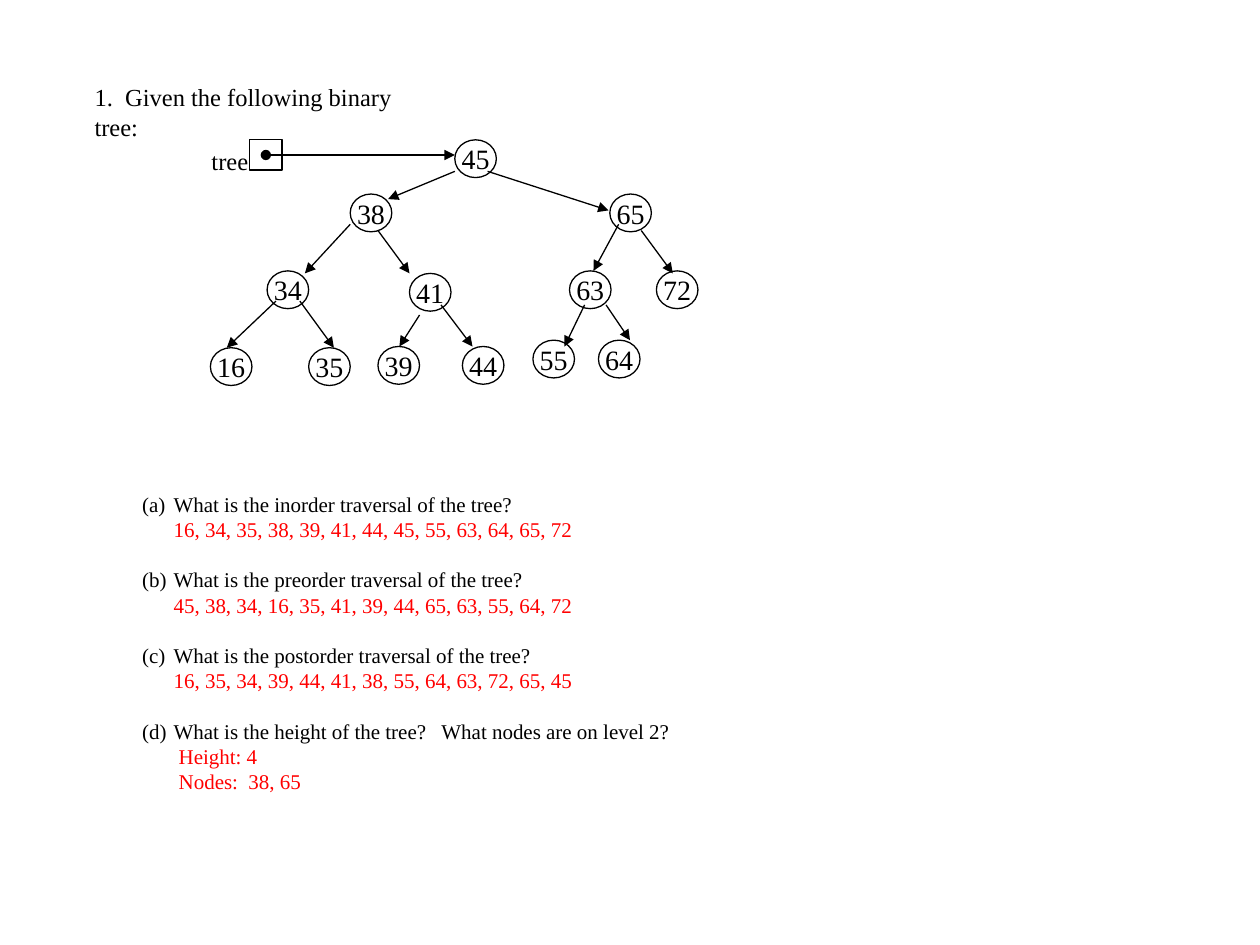
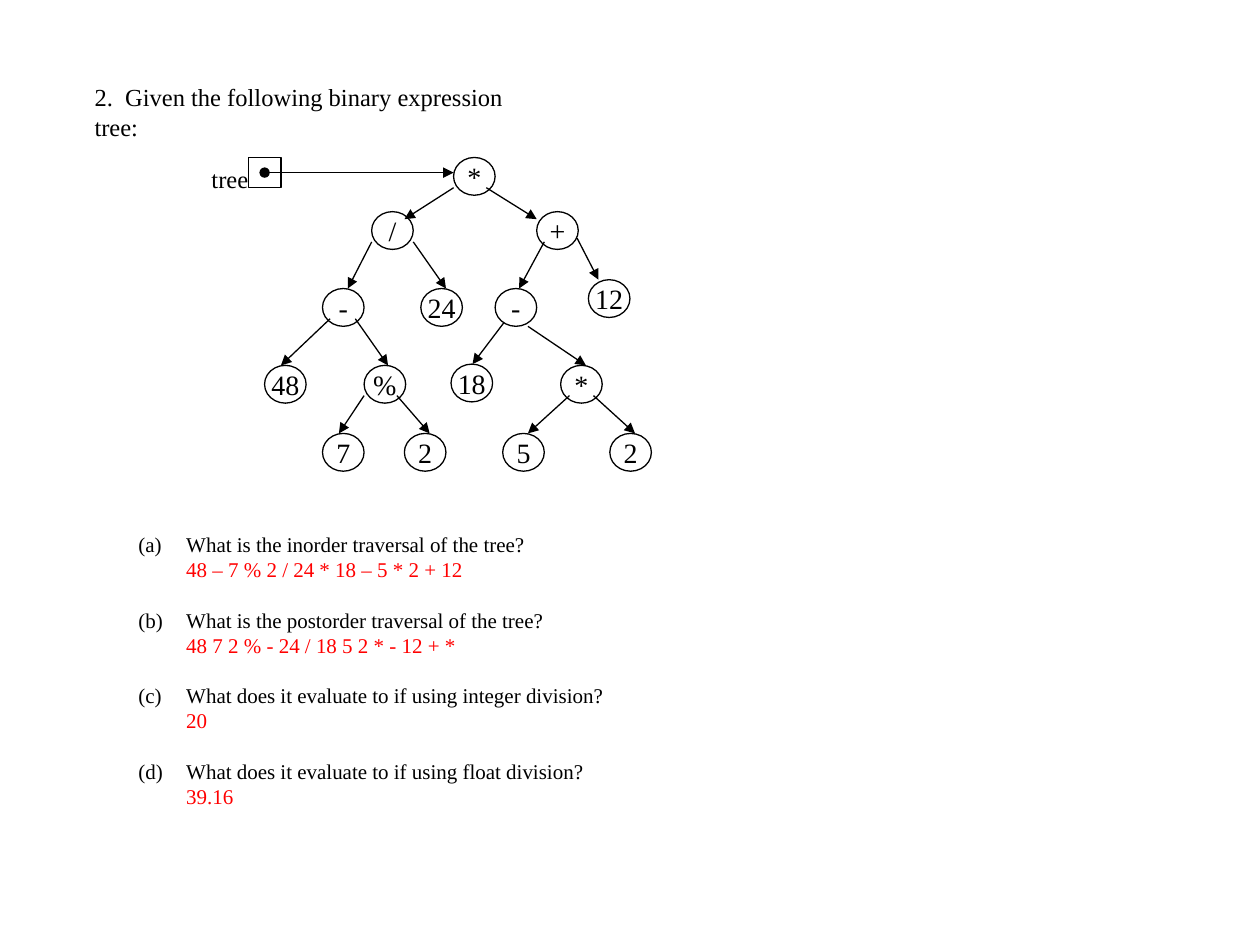
from pptx import Presentation
from pptx.dml.color import RGBColor
from pptx.enum.shapes import MSO_CONNECTOR as Connector, MSO_SHAPE as Shape
from pptx.enum.text import MSO_ANCHOR as Anchor, MSO_AUTO_SIZE as AutoSize, PP_ALIGN as Align
from pptx.oxml.ns import qn
from pptx.util import Inches, Pt
from lxml import etree

BLACK, RED, WHITE = "000000", "FF0000", "FFFFFF"
FONT = "Times New Roman"
NODE_WIDTH, NODE_HEIGHT = 0.33, 0.3
BODY_PITCH = 14.4


def color(value):
    return RGBColor.from_string(value)


class Worksheet:
    """Holds the shared style and the slide being drawn."""

    def __init__(self, presentation):
        self.presentation = presentation
        self.slide = None

    def add_slide(self, title, title_width):
        self.slide = self.presentation.slides.add_slide(self.presentation.slide_layouts[5])
        background = self.slide.background.fill
        background.solid()
        background.fore_color.rgb = color(WHITE)
        shape = self.slide.shapes.title
        shape.left, shape.top = Inches(0.65), Inches(0.6)
        shape.width, shape.height = Inches(title_width), Inches(0.58)
        frame = shape.text_frame
        frame.auto_size = AutoSize.NONE
        frame.word_wrap = True
        frame.vertical_anchor = Anchor.TOP
        paragraph = frame.paragraphs[0]
        paragraph.alignment = Align.LEFT
        paragraph.line_spacing = Pt(17)
        self.add_run(paragraph, title, 14)

    def add_run(self, paragraph, text, size, text_color=BLACK):
        run = paragraph.add_run()
        run.text = text
        run.font.name = FONT
        run.font.size = Pt(size)
        run.font.color.rgb = color(text_color)

    def add_outline(self, kind, left, top, width, height):
        shape = self.slide.shapes.add_shape(
            kind, Inches(left), Inches(top), Inches(width), Inches(height))
        shape.shadow.inherit = False
        shape.fill.background()
        shape.line.color.rgb = color(BLACK)
        shape.line.width = Pt(0.75)
        return shape

    def add_node(self, label, left, top):
        frame = self.add_outline(Shape.OVAL, left, top, NODE_WIDTH, NODE_HEIGHT).text_frame
        frame.margin_left = frame.margin_right = frame.margin_top = frame.margin_bottom = 0
        frame.word_wrap = False
        frame.vertical_anchor = Anchor.MIDDLE
        paragraph = frame.paragraphs[0]
        paragraph.alignment = Align.CENTER
        self.add_run(paragraph, label, 16)

    def add_arrow(self, start, end, head=None):
        x1, y1, x2, y2 = (Inches(value) for value in (*start, *end))
        arrow = self.slide.shapes.add_connector(Connector.STRAIGHT, x1, y1, x2, y2)
        arrow.line.color.rgb = color(BLACK)
        arrow.line.width = Pt(0.75)
        properties = arrow.line._get_or_add_ln()
        if head:
            etree.SubElement(properties, qn("a:headEnd"), type=head)
        etree.SubElement(properties, qn("a:tailEnd"), type="triangle")
        etree.SubElement(arrow._element.spPr, qn("a:effectLst"))

    def add_text_box(self, left, top, width, height, wrap=True):
        frame = self.slide.shapes.add_textbox(
            Inches(left), Inches(top), Inches(width), Inches(height)).text_frame
        frame.word_wrap = wrap
        return frame

    def add_tree(self, root, children):
        """Each child is label, left, top, and the two ends of the arrow to it."""
        label, left, top = root
        self.add_node(label, left, top)
        for label, child_left, child_top, start, end in children:
            self.add_node(label, child_left, child_top)
            self.add_arrow(start, end)
        # Pointer variable with its arrow to the root
        self.add_outline(Shape.RECTANGLE, left - 1.63, top, 0.26, 0.24)
        frame = self.add_text_box(1.58, top, 0.49, 0.33, wrap=False)
        self.add_run(frame.paragraphs[0], "tree", 14)
        self.add_arrow((left - 1.5, top + 0.12), (left, top + 0.12), head="oval")

    def add_questions(self, box, indent, questions):
        """Each question is its text, followed by (answer, extra indent) pairs."""
        frame = self.add_text_box(*box)
        paragraph = frame.paragraphs[0]
        for number, (question, *answers) in enumerate(questions, 1):
            if number > 1:
                paragraph = frame.add_paragraph()
                paragraph.space_before = Pt(BODY_PITCH)
            self.add_body_line(paragraph, question, BLACK, indent, -indent)
            etree.SubElement(paragraph._p.get_or_add_pPr(), qn("a:buAutoNum"),
                             type="alphaLcParenBoth", startAt=str(number))
            for answer, extra in answers:
                self.add_body_line(frame.add_paragraph(), answer, RED, indent + extra, 0)

    def add_body_line(self, paragraph, text, text_color, margin, first_line):
        paragraph.line_spacing = Pt(BODY_PITCH)
        properties = paragraph._p.get_or_add_pPr()
        properties.set("marL", str(Inches(margin)))
        properties.set("indent", str(Inches(first_line)))
        self.add_run(paragraph, text, 12, text_color)


presentation = Presentation()
presentation.slide_width, presentation.slide_height = Inches(10), Inches(7.5)
sheet = Worksheet(presentation)

# Slide 1: binary search tree
sheet.add_slide("1.  Given the following binary tree:", 2.88)
sheet.add_questions((1.03, 3.85, 4.7, 2.52), 0.25, [
    ("What is the inorder traversal of the tree?",
     ("16, 34, 35, 38, 39, 41, 44, 45, 55, 63, 64, 65, 72", 0)),
    ("What is the preorder traversal of the tree?",
     ("45, 38, 34, 16, 35, 41, 39, 44, 65, 63, 55, 64, 72", 0)),
    ("What is the postorder traversal of the tree?",
     ("16, 35, 34, 39, 44, 41, 38, 55, 64, 63, 72, 65, 45", 0)),
    ("What is the height of the tree?   What nodes are on level 2?",
     ("Height: 4", 0.04), ("Nodes:  38, 65", 0.04)),
])
sheet.add_tree(("45", 3.61, 1.11), [
    ("38", 2.78, 1.54, (3.61, 1.36), (3.08, 1.58)),
    ("65", 4.84, 1.54, (3.87, 1.36), (4.83, 1.67)),
    ("34", 2.12, 2.15, (2.78, 1.78), (2.42, 2.17)),
    ("41", 3.25, 2.17, (3, 1.83), (3.25, 2.17)),
    ("63", 4.52, 2.15, (4.91, 1.78), (4.71, 2.15)),
    ("72", 5.21, 2.15, (5.09, 1.83), (5.34, 2.17)),
    ("16", 1.67, 2.76, (2.19, 2.39), (1.8, 2.76)),
    ("35", 2.45, 2.76, (2.38, 2.39), (2.65, 2.76)),
    ("39", 3, 2.75, (3.33, 2.5), (3.17, 2.75)),
    ("44", 3.67, 2.75, (3.5, 2.42), (3.75, 2.75)),
    ("55", 4.23, 2.7, (4.64, 2.42), (4.48, 2.75)),
    ("64", 4.75, 2.7, (4.81, 2.42), (5, 2.7)),
])

# Slide 2: binary expression tree
sheet.add_slide("2.  Given the following binary expression tree:", 3.76)
sheet.add_questions((1, 4.17, 4.2, 2.73), 0.38, [
    ("What is the inorder traversal of the tree?",
     ("48 – 7 % 2 / 24 * 18 – 5 * 2 + 12", 0)),
    ("What is the postorder traversal of the tree?",
     ("48 7 2 % - 24 / 18 5 2 * - 12 + *", 0)),
    ("What does it evaluate to if using integer division?", ("20", 0)),
    ("What does it evaluate to if using float division?", ("39.16", 0)),
])
sheet.add_tree(("*", 3.6, 1.25), [
    ("/", 2.95, 1.68, (3.6, 1.49), (3.21, 1.74)),
    ("+", 4.26, 1.68, (3.86, 1.49), (4.26, 1.74)),
    ("-", 2.56, 2.29, (2.95, 1.92), (2.76, 2.29)),
    ("24", 3.34, 2.29, (3.28, 1.92), (3.54, 2.29)),
    ("-", 3.93, 2.29, (4.32, 1.92), (4.12, 2.29)),
    ("12", 4.67, 2.22, (4.58, 1.89), (4.75, 2.22)),
    ("48", 2.1, 2.9, (2.62, 2.53), (2.23, 2.9)),
    ("%", 2.89, 2.9, (2.82, 2.53), (3.08, 2.9)),
    ("18", 3.58, 2.89, (4, 2.56), (3.75, 2.89)),
    ("*", 4.45, 2.9, (4.19, 2.59), (4.65, 2.9)),
    ("7", 2.56, 3.44, (2.89, 3.14), (2.69, 3.44)),
    ("2", 3.21, 3.44, (3.15, 3.14), (3.41, 3.44)),
    ("5", 3.99, 3.44, (4.52, 3.14), (4.19, 3.44)),
    ("2", 4.84, 3.44, (4.71, 3.14), (5.04, 3.44)),
])

presentation.save("out.pptx")
